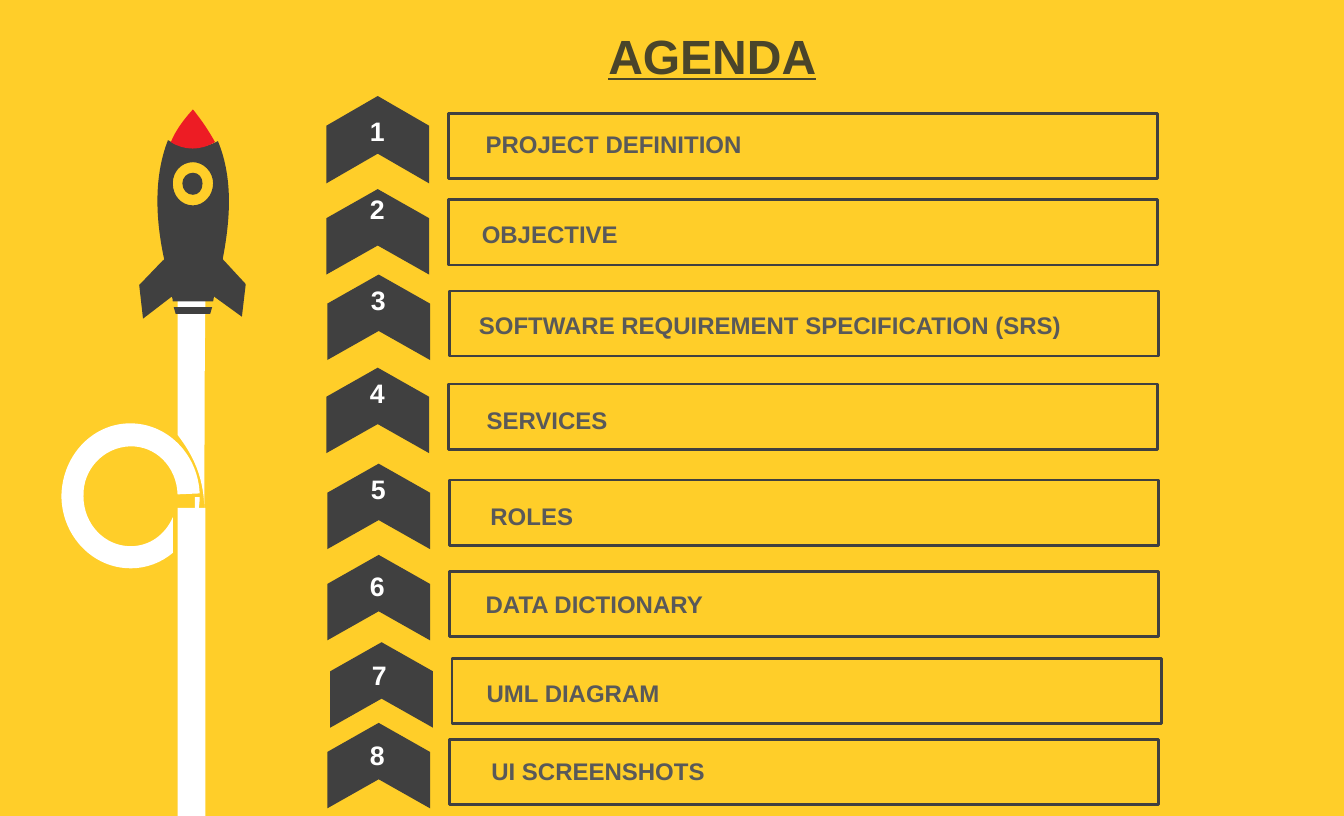
from collections import namedtuple

from lxml import etree
from pptx import Presentation
from pptx.dml.color import RGBColor
from pptx.enum.shapes import MSO_SHAPE
from pptx.enum.text import MSO_ANCHOR, MSO_AUTO_SIZE, PP_ALIGN
from pptx.oxml.ns import qn
from pptx.util import Inches, Pt

RECT = MSO_SHAPE.RECTANGLE
CHEVRON = MSO_SHAPE.CHEVRON
LABEL_SHAPE = MSO_SHAPE.ROUND_2_SAME_RECTANGLE
TOP, BOTTOM = MSO_ANCHOR.TOP, MSO_ANCHOR.BOTTOM
LEFT, CENTER = PP_ALIGN.LEFT, PP_ALIGN.CENTER
FIT_SHAPE = MSO_AUTO_SIZE.SHAPE_TO_FIT_TEXT

YELLOW = RGBColor(0xFF, 0xCE, 0x29)
WHITE = RGBColor(0xFF, 0xFF, 0xFF)
DARK = RGBColor(0x40, 0x40, 0x40)
GRAY = RGBColor(0x59, 0x59, 0x59)
OLIVE = RGBColor(0x4A, 0x45, 0x2A)
RED = RGBColor(0xED, 0x1C, 0x24)

FONT = "Arial"
UNITS = 1000  # freeform units per inch

Row = namedtuple("Row", "text box chevron number label")
ROWS = [
    Row("PROJECT DEFINITION", (4.67, 1.18), (3.48, 0.92), (3.56, 1.15), (4.94, 1.28)),
    Row("OBJECTIVE", (4.67, 2.08), (3.49, 1.88), (3.56, 1.96), (4.9, 2.22)),
    Row("SOFTWARE REQUIREMENT SPECIFICATION (SRS)",
        (4.68, 3.03), (3.5, 2.77), (3.57, 2.91), (4.87, 3.17)),
    Row("SERVICES", (4.67, 4), (3.49, 3.74), (3.56, 3.88), (4.95, 4.16)),
    Row("ROLES", (4.68, 5), (3.5, 4.74), (3.57, 4.88), (4.99, 5.16)),
    Row("DATA DICTIONARY", (4.68, 5.95), (3.5, 5.69), (3.56, 5.89), (4.94, 6.08)),
    Row("UML DIAGRAM", (4.71, 6.86), (3.53, 6.6), (3.58, 6.81), (4.95, 7)),
    Row("UI SCREENSHOTS", (4.68, 7.7), (3.5, 7.44), (3.56, 7.65), (5, 7.82)),
]

# Outlines in inches: two numbers are a corner, six are a Bezier curve.
SMOKE_LOOP = [
    [(2.03, 5.18), (2.08, 5.18), (2.08, 5.27, 2.06, 5.36, 2.03, 5.45)],
    [(1.34, 4.41), (1.73, 4.4, 2.06, 4.72, 2.08, 5.14), (1.85, 5.15),
     (1.84, 4.86, 1.62, 4.64, 1.35, 4.65), (1.08, 4.66, 0.86, 4.89, 0.87, 5.17),
     (0.87, 5.46, 1.09, 5.69, 1.36, 5.69), (1.56, 5.69, 1.72, 5.57, 1.8, 5.39),
     (1.8, 5.76), (1.68, 5.86, 1.53, 5.92, 1.36, 5.92),
     (0.97, 5.92, 0.65, 5.59, 0.64, 5.18), (0.64, 4.76, 0.95, 4.42, 1.34, 4.41)],
]
UPPER_TRAIL = [
    [(1.85, 3.11), (2.14, 3.11), (2.13, 3.84, 2.13, 4.57, 2.13, 5.3),
     (2.12, 4.96, 2.01, 4.74, 1.85, 4.53), (1.85, 3.11)],
]
ROCKET = [
    [(1.81, 3.2), (2.21, 3.2), (2.2, 3.22, 2.2, 3.25, 2.19, 3.27), (1.83, 3.27)],
    [(2.01, 1.8), (2.07, 1.8, 2.11, 1.85, 2.11, 1.91),
     (2.11, 1.98, 2.07, 2.03, 2.01, 2.03), (1.95, 2.03, 1.9, 1.98, 1.9, 1.91),
     (1.9, 1.85, 1.95, 1.8, 2.01, 1.8)],
    [(2.01, 1.69), (1.89, 1.69, 1.8, 1.79, 1.8, 1.91),
     (1.8, 2.04, 1.89, 2.14, 2.01, 2.14), (2.12, 2.14, 2.22, 2.04, 2.22, 1.91),
     (2.22, 1.79, 2.12, 1.69, 2.01, 1.69)],
    [(1.75, 1.46), (1.91, 1.56, 2.11, 1.56, 2.27, 1.47),
     (2.44, 1.88, 2.39, 2.33, 2.32, 2.7), (2.56, 2.96), (2.52, 3.3), (2.23, 3.09),
     (2.22, 3.14), (1.8, 3.14), (1.8, 3.13, 1.8, 3.11, 1.79, 3.09), (1.49, 3.32),
     (1.45, 2.97), (1.7, 2.71), (1.7, 2.72), (1.71, 2.7),
     (1.63, 2.33, 1.59, 1.87, 1.75, 1.46)],
]
NOSE = [
    [(2.01, 1.14), (2.1, 1.25, 2.18, 1.37, 2.24, 1.48),
     (2.09, 1.57, 1.92, 1.57, 1.78, 1.48), (1.83, 1.36, 1.91, 1.25, 2.01, 1.14)],
]


def style(sp, fill=None, line=None):
    sp.shadow.inherit = False
    if fill is None:
        sp.fill.background()
    else:
        sp.fill.solid()
        sp.fill.fore_color.rgb = fill
    if line is None:
        sp.line.fill.background()
    else:
        sp.line.color.rgb = line
        sp.line.width = Pt(2)


def add_shape(s, kind, x, y, w, h, fill=None, line=None):
    sp = s.shapes.add_shape(kind, Inches(x), Inches(y), Inches(w), Inches(h))
    style(sp, fill, line)
    return sp


def to_units(values):
    return [round(v * UNITS) for v in values]


def bend_segments(sp, outlines, left, top):
    """Turn the straight segments that stand for curves into Bezier curves."""
    segments = [segment for outline in outlines for segment in outline[1:]]
    lines = list(sp._element.iter(qn("a:lnTo")))
    for line, segment in zip(lines, segments):
        if len(segment) == 2:
            continue
        line.tag = qn("a:cubicBezTo")
        for child in list(line):
            line.remove(child)
        values = to_units(segment)
        for x, y in zip(values[::2], values[1::2]):
            etree.SubElement(line, qn("a:pt"), x=str(x - left), y=str(y - top))


def add_outline(s, outlines, fill):
    ends = [[to_units(segment[-2:]) for segment in outline] for outline in outlines]
    left, top = (min(axis) for axis in zip(*sum(ends, [])))
    builder = s.shapes.build_freeform(*ends[0][0], scale=Inches(1) / UNITS)
    for i, points in enumerate(ends):
        if i:
            builder.move_to(*points[0])
        builder.add_line_segments(points[1:], close=True)
    sp = builder.convert_to_shape()
    bend_segments(sp, outlines, left, top)
    style(sp, fill)


def set_text(sp, text, size, color, align=LEFT, anchor=TOP, underline=None):
    tf = sp.text_frame
    tf.word_wrap = True
    tf.vertical_anchor = anchor
    p = tf.paragraphs[0]
    p.alignment = align
    r = p.add_run()
    r.text = text
    r.font.name = FONT
    r.font.size = Pt(size)
    r.font.bold = True
    r.font.underline = underline
    r.font.color.rgb = color
    return tf


def add_text(s, x, y, w, h, text, size, color, **options):
    sp = s.shapes.add_textbox(Inches(x), Inches(y), Inches(w), Inches(h))
    return set_text(sp, text, size, color, align=CENTER, **options)


def add_rocket(s):
    add_outline(s, SMOKE_LOOP, WHITE)
    add_outline(s, UPPER_TRAIL, WHITE)
    add_outline(s, ROCKET, DARK)
    add_shape(s, RECT, 1.85, 5.29, 0.29, 3.21, fill=WHITE)
    add_outline(s, NOSE, RED)


def add_row(s, number, row):
    first = number == 1
    add_shape(s, RECT, *row.box, 7.39, 0.68, line=DARK)

    chevron = add_shape(s, CHEVRON, *row.chevron, 0.91 if first else 0.89, 1.07,
                        fill=DARK)
    chevron.adjustments[0] = 0.34
    chevron.rotation = 270
    tf = add_text(s, *row.number, 0.74, 0.43, str(number), 20, WHITE)
    tf.auto_size = FIT_SHAPE

    label = add_shape(s, LABEL_SHAPE, *row.label, 6.8, 0.42)
    label.rotation = 0 if first else 0.1
    tf = set_text(label, row.text, 18, GRAY, anchor=BOTTOM if first else TOP)
    tf.auto_size = FIT_SHAPE


def main():
    prs = Presentation()
    prs.slide_width, prs.slide_height = Inches(14), Inches(8.5)
    s = prs.slides.add_slide(prs.slide_layouts[6])
    s.background.fill.solid()
    s.background.fill.fore_color.rgb = YELLOW
    add_text(s, 0.42, -0.03, 14, 0.95, "AGENDA", 36, OLIVE,
             anchor=BOTTOM, underline=True)
    add_rocket(s)
    for number, row in enumerate(ROWS, start=1):
        add_row(s, number, row)
    prs.save("out.pptx")


if __name__ == "__main__":
    main()
